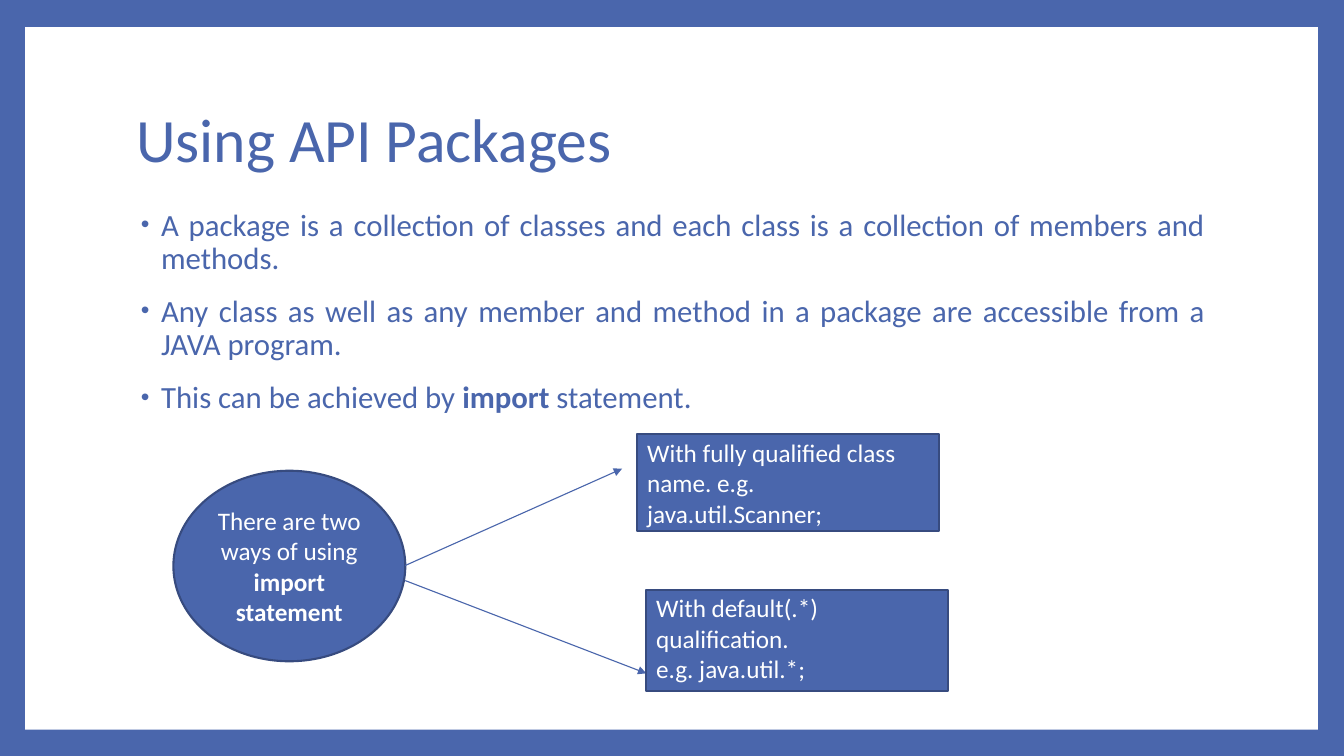
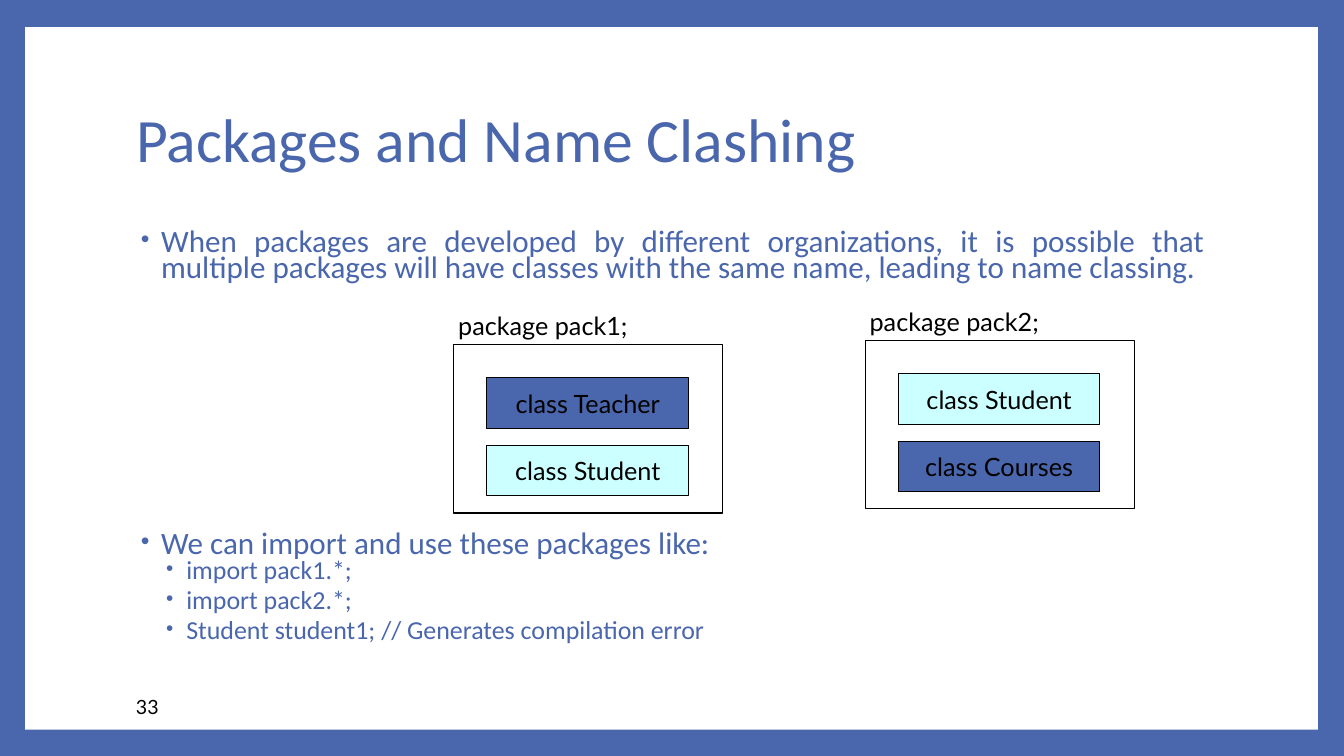
from dataclasses import dataclass

from lxml import etree
from pptx import Presentation
from pptx.dml.color import RGBColor
from pptx.enum.shapes import MSO_CONNECTOR, MSO_SHAPE
from pptx.enum.text import MSO_ANCHOR, PP_ALIGN
from pptx.oxml.ns import qn
from pptx.util import Emu, Pt

RECTANGLE, OVAL = MSO_SHAPE.RECTANGLE, MSO_SHAPE.OVAL
STRAIGHT = MSO_CONNECTOR.STRAIGHT
TOP, MIDDLE = MSO_ANCHOR.TOP, MSO_ANCHOR.MIDDLE
LEFT, CENTER, JUSTIFY = PP_ALIGN.LEFT, PP_ALIGN.CENTER, PP_ALIGN.JUSTIFY

EMU_PER_PX = 9144
SLIDE_WIDTH, SLIDE_HEIGHT = 1333, 750
MARGIN, CONTENT_WIDTH = 125, 1080
BLUE, NAVY, CYAN, WHITE, BLACK = "4A66AC", "374B7F", "CCFFFF", "FFFFFF", "000000"
BODY_FONT, LABEL_FONT = "Calibri", "Lato"


@dataclass(frozen=True)
class Area:
    left: int
    top: int
    width: int
    height: int


@dataclass(frozen=True)
class Span:
    text: str
    bold: bool = False


@dataclass(frozen=True)
class TextStyle:
    size: float
    color: str
    font: str = BODY_FONT
    align: PP_ALIGN = LEFT


@dataclass(frozen=True)
class BulletStyle:
    text: TextStyle
    line_spacing: float
    before: int
    after: int = 0
    level: int = 0


@dataclass(frozen=True)
class Bullet:
    spans: tuple[Span, ...]
    style: BulletStyle


@dataclass(frozen=True)
class ClassItem:
    name: str
    fill: str


@dataclass(frozen=True)
class Package:
    name: str
    left: int
    top: int
    classes: tuple[ClassItem, ...]


@dataclass(frozen=True)
class Arrow:
    start: tuple[int, int]
    end: tuple[int, int]


TITLE = TextStyle(44, BLUE)
CAPTION = TextStyle(18, WHITE)
CENTERED_CAPTION = TextStyle(18, WHITE, align=CENTER)
LABEL = TextStyle(18, BLACK, LABEL_FONT, CENTER)
PAGE_NUMBER = TextStyle(14, BLACK, LABEL_FONT)
POINT = BulletStyle(TextStyle(22, BLUE, align=JUSTIFY), 0.9, 14)
TIGHT_POINT = BulletStyle(TextStyle(22.2, BLUE, align=JUSTIFY), 0.7, 14)
TIGHT_SUBPOINT = BulletStyle(TextStyle(18.5, BLUE, align=JUSTIFY), 0.7, 2, 4, 1)

IMPORT_POINTS = (
    Bullet((Span("A package is a collection of classes and each class is a "
                 "collection of members and methods."),), POINT),
    Bullet((Span("Any class as well as any member and method in a package are "
                 "accessible from a JAVA program."),), POINT),
    Bullet((Span("This can be achieved by "), Span("import ", True),
            Span("statement.")), POINT),
)
IMPORT_CARDS = (
    (Area(632, 431, 299, 96),
     ("With fully qualified class name. e.g. java.util.Scanner;",)),
    (Area(641, 585, 299, 101),
     ("With default(.*) qualification.", "e.g. java.util.*;")),
)
IMPORT_ARROWS = (Arrow((402, 561), (617, 465)), Arrow((402, 576), (641, 668)))

CLASH_POINTS = (
    Bullet((Span("When packages are developed by different organizations, it is "
                 "possible that multiple packages will have classes with the "
                 "same name, leading to name classing."),), TIGHT_POINT),
)
USAGE_POINTS = (
    Bullet((Span("We can import and use these packages like:"),), TIGHT_POINT),
    *(Bullet((Span(code),), TIGHT_SUBPOINT) for code in (
        "import pack1.*;",
        "import pack2.*;",
        "Student student1; // Generates compilation error",
    )),
)
PACKAGES = (
    Package("package pack1;", 450, 342,
            (ClassItem("class Teacher", BLUE), ClassItem("class Student", CYAN))),
    Package("package pack2;", 858, 338,
            (ClassItem("class Student", CYAN), ClassItem("class Courses", BLUE))),
)


def px(length: int) -> Emu:
    return Emu(length * EMU_PER_PX)


def rgb(color: str) -> RGBColor:
    return RGBColor.from_string(color)


def bounds(area: Area) -> tuple[Emu, ...]:
    return px(area.left), px(area.top), px(area.width), px(area.height)


def add_spans(para, spans: tuple[Span, ...], style: TextStyle) -> None:
    para.alignment = style.align
    for item in spans:
        span = para.add_run()
        span.text = item.text
        span.font.name = style.font
        span.font.size = Pt(style.size)
        span.font.bold = item.bold
        span.font.color.rgb = rgb(style.color)


def write(box, paragraphs: tuple[tuple[Span, ...], ...], style: TextStyle,
          anchor: MSO_ANCHOR = TOP, wrap: bool = True) -> None:
    frame = box.text_frame
    frame.word_wrap = wrap
    frame.vertical_anchor = anchor
    for index, spans in enumerate(paragraphs):
        para = frame.add_paragraph() if index else frame.paragraphs[0]
        add_spans(para, spans, style)


def add_box(page, area: Area, fill: str | None = None, line: str | None = None,
            weight: float = 0.75, kind: MSO_SHAPE = RECTANGLE):
    box = page.shapes.add_shape(kind, *bounds(area))
    box.shadow.inherit = False
    if fill:
        box.fill.solid()
        box.fill.fore_color.rgb = rgb(fill)
    else:
        box.fill.background()
    if line:
        box.line.color.rgb = rgb(line)
        box.line.width = Pt(weight)
    else:
        box.line.fill.background()
    return box


def add_label(page, area: Area, text: str, style: TextStyle,
              anchor: MSO_ANCHOR = TOP, wrap: bool = False) -> None:
    box = page.shapes.add_textbox(*bounds(area))
    write(box, ((Span(text),),), style, anchor, wrap)


def add_bullet_mark(para, level: int) -> None:
    properties = para._p.get_or_add_pPr()
    properties.set("marL", str(px(25 * (level + 1))))
    properties.set("indent", str(px(-20)))
    color = etree.SubElement(properties, qn("a:buClr"))
    etree.SubElement(color, qn("a:srgbClr"), val=BLUE)
    etree.SubElement(properties, qn("a:buSzPct"), val="80000")
    etree.SubElement(properties, qn("a:buFont"), typeface="Arial")
    etree.SubElement(properties, qn("a:buChar"), char="•")


def add_bullets(page, area: Area, bullets: tuple[Bullet, ...]) -> None:
    frame = page.shapes.add_textbox(*bounds(area)).text_frame
    frame.word_wrap = True
    for index, bullet in enumerate(bullets):
        style = bullet.style
        para = frame.add_paragraph() if index else frame.paragraphs[0]
        add_bullet_mark(para, style.level)
        para.level = style.level
        para.line_spacing = style.line_spacing
        para.space_before = Pt(style.before if index else 0)
        para.space_after = Pt(style.after)
        add_spans(para, bullet.spans, style.text)


def add_arrow(page, arrow: Arrow) -> None:
    ends = (px(value) for value in (*arrow.start, *arrow.end))
    connector = page.shapes.add_connector(STRAIGHT, *ends)
    connector.line.color.rgb = rgb(BLUE)
    connector.line.width = Pt(0.79)
    line = connector.line._get_or_add_ln()
    etree.SubElement(line, qn("a:tailEnd"), type="triangle")
    etree.SubElement(connector.element.spPr, qn("a:effectLst"))


def add_package(page, package: Package) -> None:
    left, top = package.left, package.top
    add_box(page, Area(left, top, 267, 167), line=BLACK)
    add_label(page, Area(left - 9, top - 39, 195, 40), package.name, LABEL)
    for index, item in enumerate(package.classes):
        area = Area(left + 33, top + 33 + 67 * index, 200, 50)
        box = add_box(page, area, item.fill, BLACK)
        write(box, ((Span(item.name),),), LABEL, MIDDLE, False)


def add_page(deck, heading: str):
    page = deck.slides.add_slide(deck.slide_layouts.get_by_name("Title Only"))
    panel = add_box(page, Area(25, 27, 1282, 697), WHITE)
    page.shapes.element.insert(2, panel.element)
    title = page.shapes.title
    title.left, title.top, title.width, title.height = bounds(
        Area(MARGIN, 67, CONTENT_WIDTH, 148))
    write(title, ((Span(heading),),), TITLE, MIDDLE)
    title.text_frame.paragraphs[0].line_spacing = 0.9
    return page


def build_import_page(deck) -> None:
    page = add_page(deck, "Using API Packages")
    add_bullets(page, Area(MARGIN, 203, CONTENT_WIDTH, 220), IMPORT_POINTS)
    oval = add_box(page, Area(172, 467, 230, 189), BLUE, NAVY, 1.5, OVAL)
    write(oval, ((Span("There are two ways of using "),
                  Span("import statement", True)),), CENTERED_CAPTION, MIDDLE)
    for arrow in IMPORT_ARROWS:
        add_arrow(page, arrow)
    for area, lines in IMPORT_CARDS:
        card = add_box(page, area, BLUE, NAVY, 1.5)
        card.text_frame.margin_top = px(3)
        write(card, tuple((Span(line),) for line in lines), CAPTION)


def build_clash_page(deck) -> None:
    page = add_page(deck, "Packages and Name Clashing")
    add_label(page, Area(MARGIN, 681, 255, 40), "33", PAGE_NUMBER, MIDDLE, True)
    add_bullets(page, Area(MARGIN, 225, CONTENT_WIDTH, 70), CLASH_POINTS)
    add_bullets(page, Area(MARGIN, 524, CONTENT_WIDTH, 143), USAGE_POINTS)
    for package in PACKAGES:
        add_package(page, package)


def main() -> None:
    deck = Presentation()
    deck.slide_width, deck.slide_height = px(SLIDE_WIDTH), px(SLIDE_HEIGHT)
    backdrop = deck.slide_master.background.fill
    backdrop.solid()
    backdrop.fore_color.rgb = rgb(BLUE)
    build_import_page(deck)
    build_clash_page(deck)
    deck.save("out.pptx")


if __name__ == "__main__":
    main()
